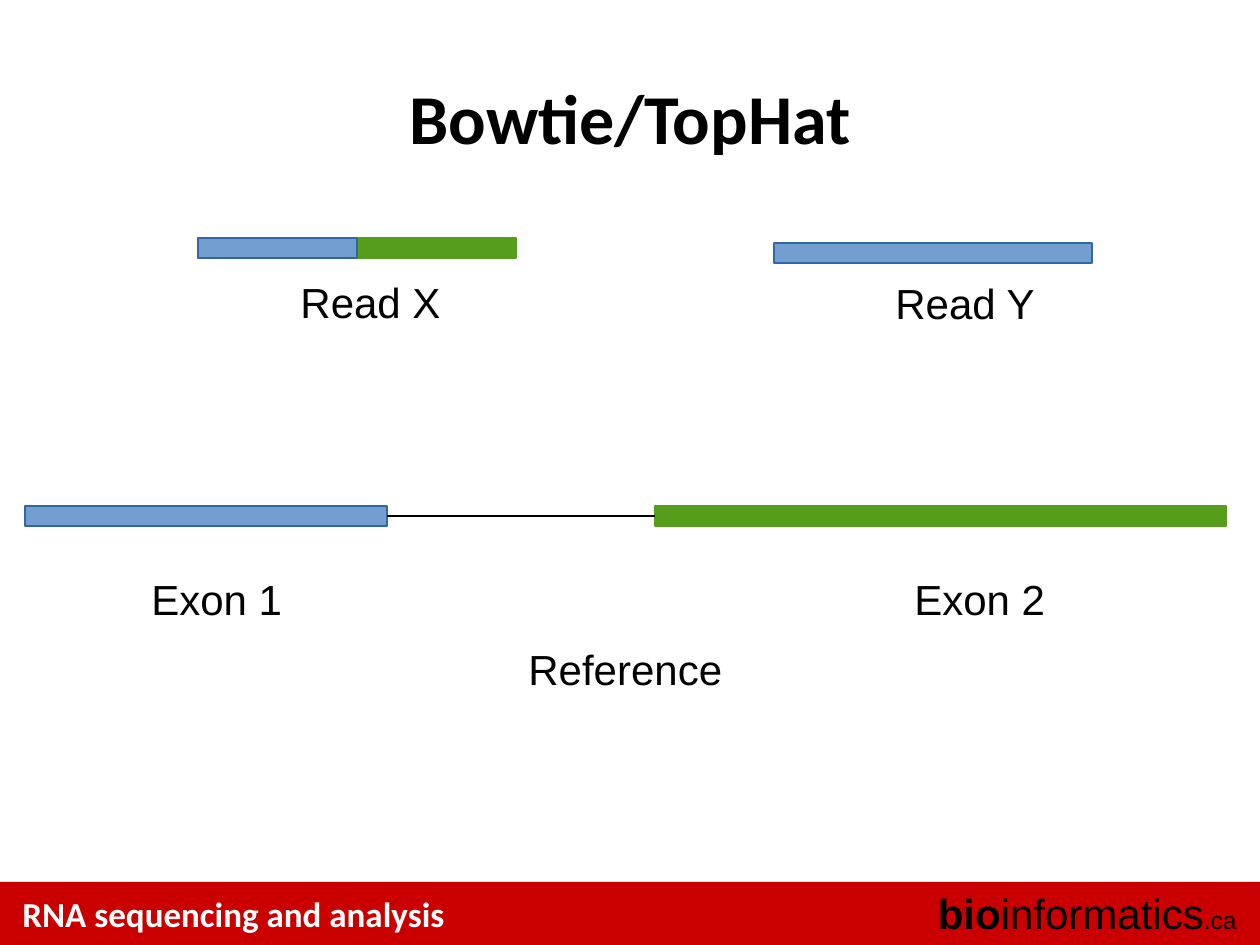
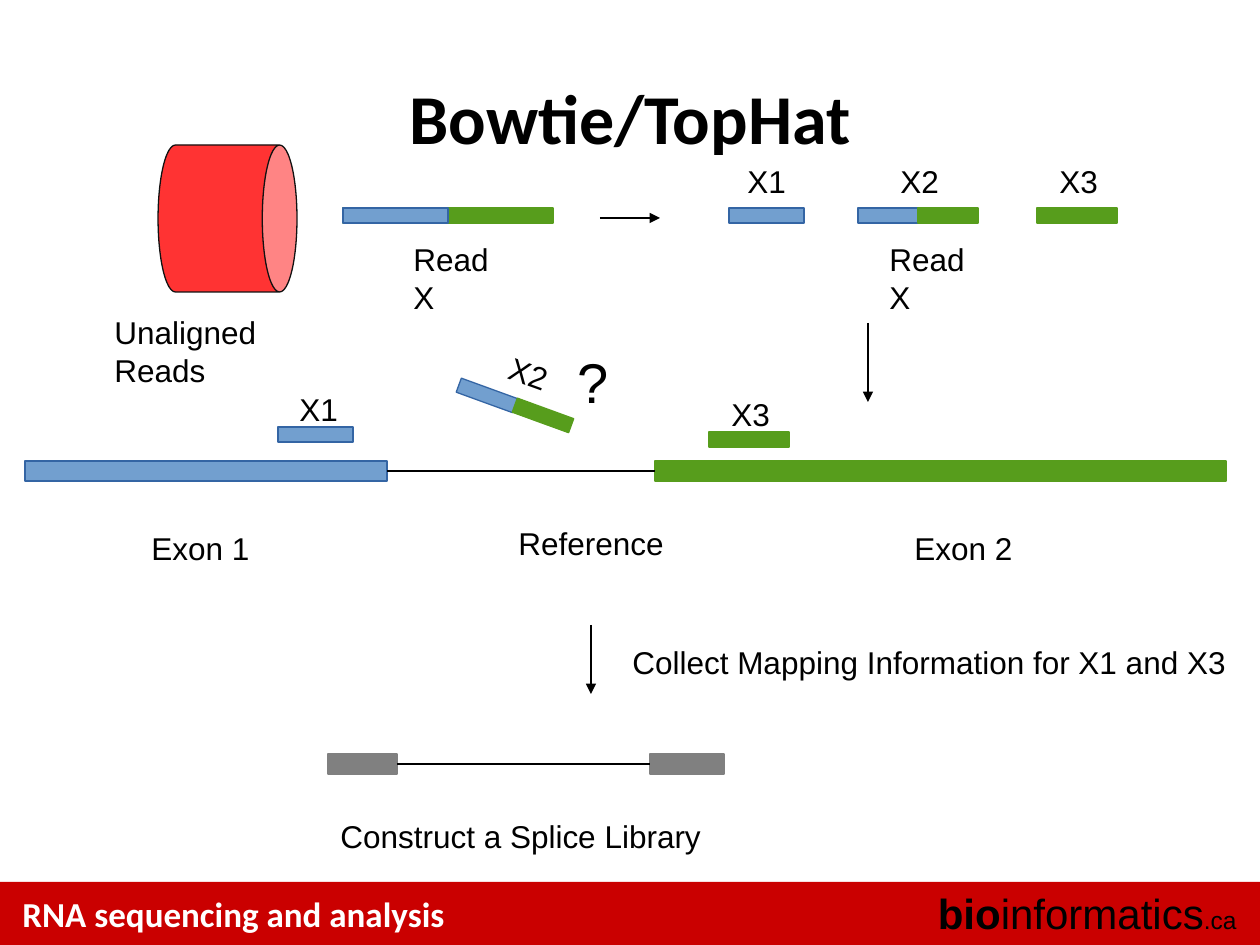
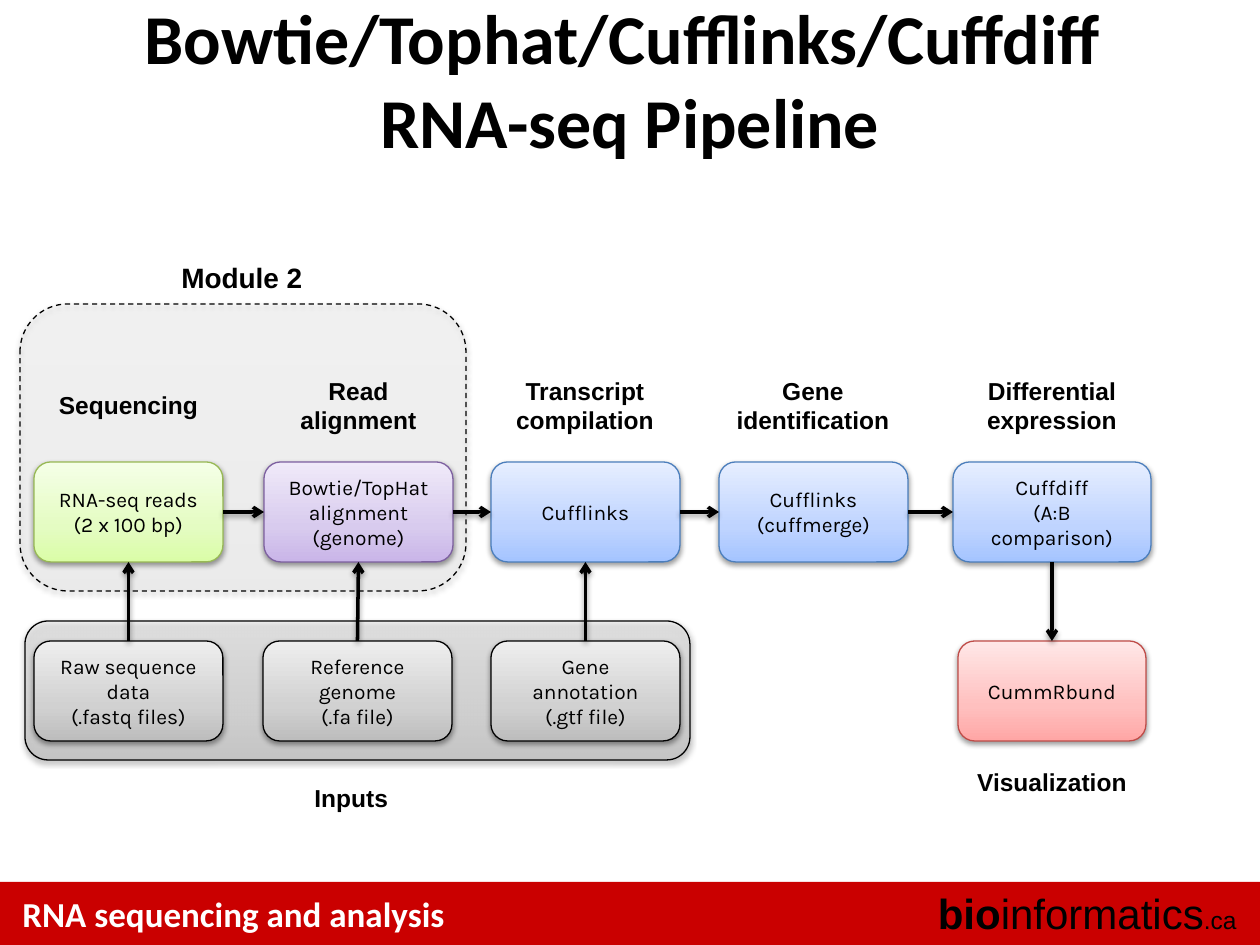
from dataclasses import dataclass

from pptx import Presentation
from pptx.dml.color import RGBColor
from pptx.enum.dml import MSO_LINE
from pptx.enum.shapes import MSO_CONNECTOR, MSO_SHAPE
from pptx.enum.text import MSO_ANCHOR, MSO_AUTO_SIZE, PP_ALIGN
from pptx.oxml import parse_xml
from pptx.oxml.ns import nsdecls, qn
from pptx.util import Emu, Pt

SCALE = 914400 / 126
RECT, ROUND, CAN = MSO_SHAPE.RECTANGLE, MSO_SHAPE.ROUNDED_RECTANGLE, MSO_SHAPE.CAN
STRAIGHT, DASH = MSO_CONNECTOR.STRAIGHT, MSO_LINE.DASH
LEFT, CENTER, RIGHT = PP_ALIGN.LEFT, PP_ALIGN.CENTER, PP_ALIGN.RIGHT
MIDDLE, FIXED = MSO_ANCHOR.MIDDLE, MSO_AUTO_SIZE.NONE
TOP, WEST, BOTTOM, EAST = range(4)


@dataclass(frozen=True)
class Theme:
    """Colours, fonts and type sizes of the deck."""
    black: str = "000000"
    white: str = "FFFFFF"
    band: str = "CA0000"
    blue: tuple = ("729FCF", "3465A4")
    green: tuple = ("579D1C", "579D1C")
    gray: tuple = ("808080", "808080")
    red: tuple = ("FF3333", "111111")
    lime: tuple = ("DAFDA7", "E4FCC2", "F5FFE7", "98B955")
    plum: tuple = ("C9B5E8", "D8CBEE", "F0EAF9", "7D60A0")
    sky: tuple = ("A4C4FF", "BFD4FF", "E6EEFF", "4B7EBC")
    rose: tuple = ("FFA6A5", "FFC0BF", "FFE7E7", "BF4C48")
    steel: tuple = ("BDBDBD", "D1D1D1", "EEEEEE", "000000")
    sans: str = "Arial"
    head: str = "Calibri"
    node: str = "Karla"
    title: int = 40
    mark: int = 32
    large: int = 24
    foot: int = 20
    text: int = 18
    group: int = 16
    stage: int = 14
    small: int = 12
    thin: float = 0.75
    thick: float = 2


THEME = Theme()


def px(num):
    """Turn pixels into EMU."""
    return Emu(round(num * SCALE))


def place(box):
    """Turn a pixel box into EMU lengths."""
    return [px(num) for num in box]


def tint(code):
    """Give the colour for a hex code."""
    return RGBColor.from_string(code)


def style(font, size, face=THEME.sans, color=THEME.black, bold=False):
    """Set the look of a font."""
    font.size, font.name, font.bold = Pt(size), face, bold
    font.color.rgb = tint(color)


def write(frame, text, size, align=LEFT, **look):
    """Fill a text frame with evenly styled paragraphs."""
    frame.text = text
    for para in frame.paragraphs:
        para.alignment = align
        style(para.font, size, **look)


def label(slide, text, box, size=THEME.text, top=8, turn=0, **look):
    """Add a text box."""
    item = slide.shapes.add_textbox(*place(box))
    item.rotation = turn
    frame = item.text_frame
    frame.word_wrap = True
    frame.margin_top = px(top)
    write(frame, text, size, **look)
    return item


def heading(slide, text, box):
    """Add a bold label centred in its box."""
    item = label(slide, text, box, THEME.stage, 6, align=CENTER, bold=True)
    item.text_frame.vertical_anchor = MIDDLE


def bar(slide, tone, box, turn=0, kind=RECT):
    """Add a flat shape with a fill and a line colour."""
    item = slide.shapes.add_shape(kind, *place(box))
    item.rotation = turn
    item.shadow.inherit = False
    item.fill.solid()
    item.fill.fore_color.rgb = tint(tone[0])
    item.line.color.rgb = tint(tone[1])
    item.line.width = Pt(THEME.thin)
    return item


def read(slide, x, y, width, height):
    """Add a read whose first half is blue and second half green."""
    bar(slide, THEME.green, (x, y, width, height))
    bar(slide, THEME.blue, (x, y, width // 2, height))


def shade(item):
    """Give a shape or connector a soft shadow below it."""
    props = item.element.spPr
    for old in props.findall(qn("a:effectLst")):
        props.remove(old)
    props.append(parse_xml(
        f'<a:effectLst {nsdecls("a")}><a:outerShdw blurRad="40000" dist="20000" '
        f'dir="5400000" rotWithShape="0"><a:srgbClr val="{THEME.black}">'
        '<a:alpha val="38000"/></a:srgbClr></a:outerShdw></a:effectLst>'))


def card(slide, tone, box, text="", alpha=100):
    """Add a rounded box with a rising gradient and a shadow."""
    item = slide.shapes.add_shape(ROUND, *place(box))
    stops = "".join(
        f'<a:gs pos="{spot}000"><a:srgbClr val="{code}">'
        f'<a:alpha val="{alpha}000"/></a:srgbClr></a:gs>'
        for spot, code in zip((0, 35, 100), tone))
    item.element.spPr.insert(2, parse_xml(
        f'<a:gradFill {nsdecls("a")} rotWithShape="1"><a:gsLst>{stops}</a:gsLst>'
        '<a:lin ang="16200000" scaled="0"/></a:gradFill>'))
    item.line.color.rgb = tint(tone[3])
    item.line.width = Pt(THEME.thin)
    shade(item)
    if text:
        item.text_frame.vertical_anchor = MIDDLE
        write(item.text_frame, text, THEME.small, CENTER, face=THEME.node)
    return item


def line(slide, ends=(0, 0, 0, 0), tip=None, width=THEME.thin):
    """Add a straight black line with an optional arrowhead."""
    item = slide.shapes.add_connector(STRAIGHT, *place(ends))
    item.line.color.rgb = tint(THEME.black)
    item.line.width = Pt(width)
    props = item.element.spPr
    if tip:
        props.find(qn("a:ln")).append(
            parse_xml(f'<a:tailEnd {nsdecls("a")} type="{tip}"/>'))
    props.append(parse_xml(f'<a:effectLst {nsdecls("a")}/>'))
    return item


def link(item, start, side, end, other):
    """Join a connector to the sides of two shapes."""
    item.begin_connect(start, side)
    item.end_connect(end, other)


def flow(slide, start, side, end, other):
    """Add a thick shadowed arrow between two cards."""
    item = line(slide, tip="arrow", width=THEME.thick)
    link(item, start, side, end, other)
    shade(item)


def genome(slide, y, size):
    """Add two exons joined by an intron, with their names."""
    first = bar(slide, THEME.blue, (25, y, 362, 20))
    second = bar(slide, THEME.green, (655, y, 571, 20))
    link(line(slide), first, EAST, second, WEST)
    for text, x in (("Exon 1", 139), ("Exon 2", 902)):
        label(slide, text, (x, y + 60, 160, 48), size)


def footer(slide, layout):
    """Build the footer and move it to the layout."""
    band = bar(slide, (THEME.band, THEME.band), (0, 882, 1260, 63))
    band.line.fill.background()
    course = label(slide, "RNA sequencing and analysis", (10, 886, 924, 55),
                   THEME.foot, 6, face=THEME.head, color=THEME.white, bold=True)
    site = slide.shapes.add_textbox(*place((924, 881, 325, 63)))
    site.text_frame.word_wrap = True
    para = site.text_frame.paragraphs[0]
    para.alignment = RIGHT
    for text, size, bold in (("bio", THEME.large, True),
                             ("informatics", THEME.large, False),
                             (".ca", THEME.stage, False)):
        run = para.add_run()
        run.text = text
        style(run.font, size, bold=bold)
    for item in (band, course, site):
        layout.shapes.element.append(item.element)


def page(deck, text, top=38):
    """Add a slide with its title."""
    slide = deck.slides.add_slide(deck.slide_layouts[5])
    title = slide.shapes.title
    title.left, title.top, title.width, title.height = place((21, top, 1218, 158))
    frame = title.text_frame
    frame.vertical_anchor, frame.auto_size = MIDDLE, FIXED
    write(frame, text, THEME.title, CENTER, face=THEME.head, bold=True)
    return slide


def reads(slide):
    """Show two reads above the reference."""
    bar(slide, THEME.blue, (774, 243, 318, 20))
    read(slide, 198, 238, 318, 20)
    label(slide, "Read X", (288, 269, 170, 48), THEME.large)
    label(slide, "Read Y", (883, 270, 170, 48), THEME.large)
    genome(slide, 506, THEME.large)
    label(slide, "Reference", (516, 636, 225, 48), THEME.large)


def splice(slide):
    """Show how a split read leads to a splice library."""
    bar(slide, THEME.red, (154, 149, 147, 139), 90, CAN)
    label(slide, "Unaligned Reads", (102, 305, 266, 48))
    genome(slide, 461, THEME.text)
    label(slide, "Reference", (506, 516, 180, 48))
    read(slide, 343, 208, 210, 15)
    for x in (401, 877):
        label(slide, "Read X", (x, 232, 126, 48))
    for tone, x, y, width, turn in (
            (THEME.blue, 729, 208, 75, 0), (THEME.blue, 858, 208, 60, 0),
            (THEME.green, 918, 208, 60, 0), (THEME.green, 1037, 208, 80, 0),
            (THEME.blue, 278, 427, 75, 0), (THEME.green, 709, 432, 80, 0),
            (THEME.blue, 457, 388, 60, 20), (THEME.green, 513, 408, 60, 20)):
        bar(slide, tone, (x, y, width, 15), turn)
    for text, x, y, turn in (
            ("X1", 735, 154, 0), ("X2", 888, 154, 0), ("X3", 1047, 154, 0),
            ("X1", 287, 382, 0), ("X3", 719, 387, 0), ("X2", 498, 347, 20)):
        label(slide, text, (x, y, 68, 48), turn=turn)
    label(slide, "?", (565, 338, 64, 91), THEME.mark, 10)
    for ends in ((600, 218, 660, 218), (868, 323, 868, 402), (591, 625, 591, 694)):
        line(slide, ends, "triangle")
    label(slide, "Collect Mapping Information for X1 and X3", (620, 635, 630, 48))
    first = bar(slide, THEME.gray, (328, 754, 69, 20))
    second = bar(slide, THEME.gray, (650, 754, 74, 20))
    link(line(slide), first, EAST, second, WEST)
    label(slide, "Construct a Splice Library", (328, 809, 456, 48))


def pipeline(slide):
    """Show the stages of the pipeline with their inputs."""
    module = card(slide, THEME.steel, (20, 304, 446, 287), alpha=13)
    module.line.dash_style = DASH
    card(slide, THEME.steel, (25, 621, 665, 139), alpha=51)
    stages = []
    for name, text, tone, x, width, span in (
            ("Sequencing", "RNA-seq reads (2 x 100 bp)", THEME.lime, 34, 189, 171),
            ("Read alignment", "Bowtie/TopHat alignment (genome)",
             THEME.plum, 264, 189, 171),
            ("Transcript compilation", "Cufflinks", THEME.sky, 491, 189, 228),
            ("Gene identification", "Cufflinks (cuffmerge)",
             THEME.sky, 719, 189, 228),
            ("Differential expression", "Cuffdiff\n(A:B comparison)",
             THEME.sky, 953, 198, 228)):
        stages.append(card(slide, tone, (x, 462, width, 100), text))
        heading(slide, name, (x + (width - span) // 2, 369, span, 72))
    for start, end in zip(stages, stages[1:]):
        flow(slide, start, EAST, end, WEST)
    chart = card(slide, THEME.rose, (958, 641, 188, 100), "CummRbund")
    heading(slide, "Visualization", (938, 760, 228, 43))
    flow(slide, stages[-1], BOTTOM, chart, TOP)
    for text, x, stage in zip(
            ("Raw sequence data\n(.fastq files)", "Reference genome\n(.fa file)",
             "Gene annotation\n(.gtf file)"), (34, 263, 491), stages):
        source = card(slide, THEME.steel, (x, 641, 189, 100), text)
        flow(slide, source, TOP, stage, BOTTOM)
    label(slide, "Inputs", (302, 777, 110, 43), THEME.stage, 6, bold=True)
    label(slide, "Module 2", (169, 255, 155, 47), THEME.group, 6, bold=True)


def main():
    """Build the deck and save it."""
    deck = Presentation()
    deck.slide_width, deck.slide_height = place((1260, 945))
    first = page(deck, "Bowtie/TopHat")
    footer(first, deck.slide_layouts[5])
    reads(first)
    splice(page(deck, "Bowtie/TopHat"))
    pipeline(page(deck, "Bowtie/Tophat/Cufflinks/Cuffdiff \vRNA-seq Pipeline", 0))
    deck.save("out.pptx")


if __name__ == "__main__":
    main()
